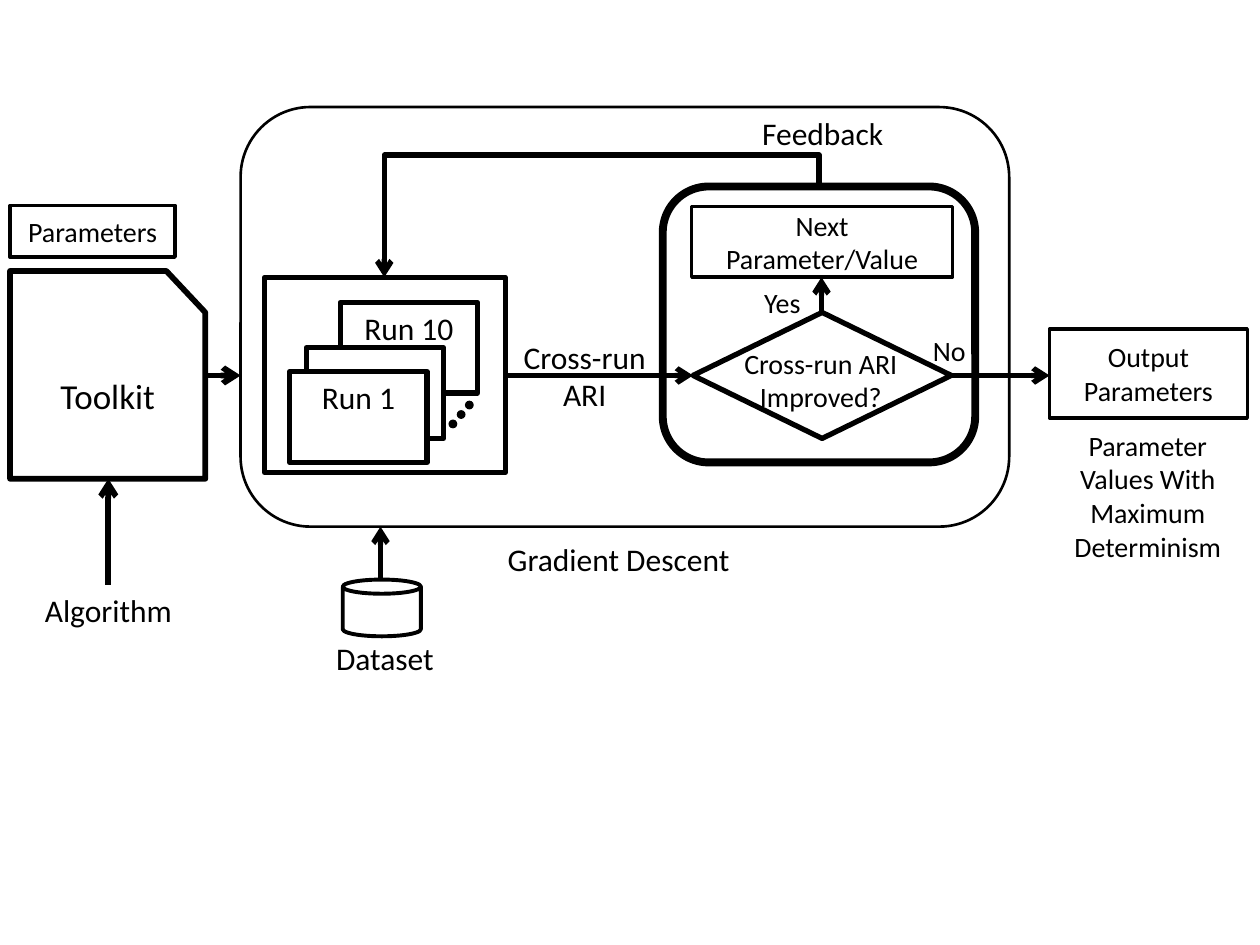
import dataclasses

import pptx
import pptx.dml.color
import pptx.enum.shapes
import pptx.enum.text
import pptx.oxml
import pptx.oxml.ns
import pptx.util

Inches = pptx.util.Inches
Pt = pptx.util.Pt
SHAPE = pptx.enum.shapes.MSO_SHAPE
CONNECTOR = pptx.enum.shapes.MSO_CONNECTOR
ANCHOR = pptx.enum.text.MSO_ANCHOR
qn = pptx.oxml.ns.qn


@dataclasses.dataclass(frozen=True)
class Theme:
    ink: pptx.dml.color.RGBColor = pptx.dml.color.RGBColor(0, 0, 0)
    paper: pptx.dml.color.RGBColor = pptx.dml.color.RGBColor(255, 255, 255)
    font: str = "Calibri"
    small: int = 16
    medium: int = 18
    large: int = 20
    thin: float = 2
    normal: float = 3
    strong: float = 3.25


THEME = Theme()


def write(shape, text, size, anchor, wrap):
    frame = shape.text_frame
    frame.word_wrap = wrap
    frame.vertical_anchor = anchor
    frame.text = text
    for para in frame.paragraphs:
        para.alignment = pptx.enum.text.PP_ALIGN.CENTER
        para.font.name = THEME.font
        para.font.size = Pt(size)
        para.font.color.rgb = THEME.ink


def add_box(page, kind, place, width, fill=None, text="",
            size=THEME.small, anchor=ANCHOR.MIDDLE):
    """Add an outlined shape; a width of 0 leaves the outline off."""
    box = page.shapes.add_shape(kind, *map(Inches, place))
    box.shadow.inherit = False
    if fill is None:
        box.fill.background()
    else:
        box.fill.solid()
        box.fill.fore_color.rgb = fill
    if width:
        box.line.color.rgb = THEME.ink
        box.line.width = Pt(width)
    else:
        box.line.fill.background()
    if text:
        write(box, text, size, anchor, True)
    return box


def add_label(page, text, place, size=THEME.medium, wrap=False):
    label = page.shapes.add_textbox(*map(Inches, place))
    write(label, text, size, ANCHOR.TOP, wrap)


def add_arrow(page, start, end, width=THEME.normal, kind=CONNECTOR.STRAIGHT):
    arrow = page.shapes.add_connector(kind, *map(Inches, start + end))
    arrow.line.color.rgb = THEME.ink
    arrow.line.width = Pt(width)
    line = arrow.line._get_or_add_ln()
    line.append(line.makeelement(qn("a:tailEnd"), {"type": "arrow"}))
    properties = arrow._element.spPr
    properties.append(properties.makeelement(qn("a:effectLst"), {}))
    return arrow


def add_feedback_arrow(page, start, end, rise):
    """Add an elbow that leaves upward by rise, runs left and drops to end."""
    middle_x, middle_y = (start[0] + end[0]) / 2, (start[1] + end[1]) / 2
    across, down = start[0] - end[0], end[1] - start[1]
    # The elbow is laid out on its side, then turned by 270 degrees
    arrow = add_arrow(page, (middle_x + down / 2, middle_y + across / 2),
                      (middle_x - down / 2, middle_y - across / 2),
                      kind=CONNECTOR.ELBOW)
    properties = arrow._element.spPr
    properties.find(qn("a:xfrm")).set("rot", str(270 * 60000))
    guides = properties.find(qn("a:prstGeom")).get_or_add_avLst()
    bend = round(-rise / down * 100000)
    guides.append(guides.makeelement(
        qn("a:gd"), {"name": "adj1", "fmla": f"val {bend}"}))


def add_inputs(page):
    card = add_box(page, SHAPE.FLOWCHART_CARD, (0.08, 2.15, 1.55, 1.65),
                   THEME.strong, THEME.paper, "Toolkit", THEME.large)
    card._element.spPr.find(qn("a:xfrm")).set("flipH", "1")
    add_box(page, SHAPE.RECTANGLE, (0.08, 1.63, 1.31, 0.41), THEME.thin,
            text="Parameters")
    add_label(page, "Algorithm", (0.25, 4.64, 1.22, 0.4))
    add_box(page, SHAPE.CAN, (2.72, 4.6, 0.62, 0.45), 2.25, THEME.paper)
    add_label(page, "Dataset", (2.56, 5.02, 0.99, 0.4))
    add_arrow(page, (1.64, 2.98), (1.91, 2.98), THEME.strong)
    add_arrow(page, (0.86, 4.64), (0.86, 3.8), THEME.strong)
    add_arrow(page, (3.02, 4.6), (3.02, 4.18))


def add_runs(page):
    for left, top, text in ((2.7, 2.4, "Run 10"), (2.43, 2.76, ""),
                            (2.3, 2.95, "Run 1")):
        add_box(page, SHAPE.RECTANGLE, (left, top, 1.09, 0.72), THEME.normal,
                THEME.paper, text, THEME.medium, ANCHOR.TOP)
    add_box(page, SHAPE.RECTANGLE, (2.1, 2.2, 1.91, 1.55), THEME.normal)
    for step in range(3):
        add_box(page, SHAPE.FLOWCHART_CONNECTOR,
                (3.56 + 0.065 * step, 3.33 - 0.075 * step, 0.07, 0.07),
                0, THEME.ink)


def add_decision(page):
    add_box(page, SHAPE.ROUNDED_RECTANGLE, (5.26, 1.48, 2.48, 2.19), 4.5)
    add_arrow(page, (4.01, 2.98), (5.5, 2.98))
    add_arrow(page, (7.48, 2.98), (8.33, 2.98))
    add_box(page, SHAPE.FLOWCHART_DECISION, (5.5, 2.48, 2.05, 1),
            THEME.normal, THEME.paper)
    add_label(page, "Cross-run ARI\nImproved?", (5.68, 2.7, 1.67, 0.64),
              THEME.small)
    add_box(page, SHAPE.RECTANGLE, (5.49, 1.64, 2.07, 0.56), THEME.thin,
            text="Next Parameter/Value")
    add_arrow(page, (6.52, 2.48), (6.52, 2.2))
    add_label(page, "Yes", (5.91, 2.22, 0.6, 0.37), THEME.small)
    add_label(page, "No", (7.27, 2.6, 0.53, 0.37), THEME.small)
    add_label(page, "Cross-run\nARI", (4.05, 2.63, 1.18, 0.71))
    add_label(page, "Feedback", (5.4, 0.86, 2.26, 0.4))
    add_feedback_arrow(page, (6.5, 1.48), (3.05, 2.2), 0.25)


def add_output(page):
    add_box(page, SHAPE.RECTANGLE, (8.33, 2.61, 1.57, 0.71), THEME.thin,
            text="Output\nParameters")
    add_label(page, "Parameter Values With Maximum Determinism",
              (8.28, 3.35, 1.66, 1.18), THEME.small, wrap=True)


def main():
    deck = pptx.Presentation()
    deck.slide_width, deck.slide_height = Inches(10), Inches(7.5)
    page = deck.slides.add_slide(deck.slide_layouts.get_by_name("Blank"))
    # Toolkit, algorithm and dataset
    add_inputs(page)
    # Gradient descent loop
    add_box(page, SHAPE.ROUNDED_RECTANGLE, (1.91, 0.85, 6.1, 3.33), 1.5)
    add_label(page, "Gradient Descent", (3.78, 4.24, 2.26, 0.4))
    add_runs(page)
    add_decision(page)
    # Result
    add_output(page)
    deck.save("out.pptx")


main()
